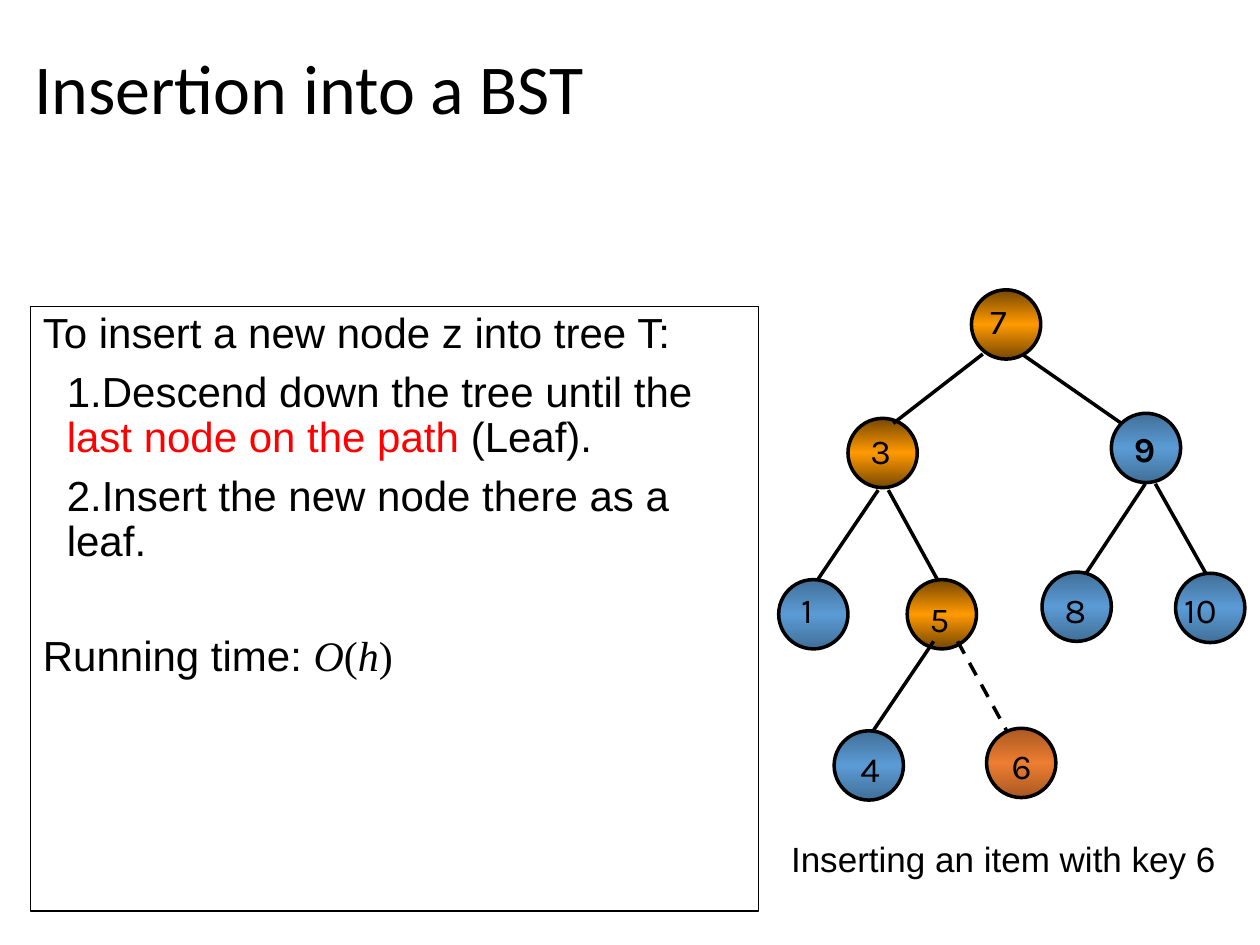
from copy import deepcopy

from lxml.etree import SubElement
from pptx import Presentation
from pptx.dml.color import RGBColor
from pptx.enum.dml import MSO_LINE
from pptx.enum.shapes import MSO_CONNECTOR, MSO_SHAPE
from pptx.enum.text import MSO_ANCHOR, MSO_AUTO_SIZE, PP_ALIGN
from pptx.oxml.ns import qn
from pptx.util import Inches, Pt

COLORS = {"black": "000000", "red": "FF0000"}
# Edge and middle colour of each node gradient
GRADIENTS = {
    "path": ("764700", "FF9900"),
    "plain": ("416F98", "5B9BD5"),
    "new": ("AA5923", "ED7D31"),
}
NODE_SIZE = 0.55

# Key, node left and top, label left and top, label width, gradient
NODES = [
    ("7", 7.71, 2.30, 7.76, 2.33, 0.40, "path"),
    ("3", 6.73, 3.32, 6.81, 3.36, 0.38, "path"),
    ("9", 8.82, 3.28, 8.90, 3.34, 0.38, "plain"),
    ("1", 6.18, 4.60, 6.26, 4.62, 0.38, "plain"),
    ("5", 7.20, 4.60, 7.28, 4.69, 0.40, "path"),
    ("8", 8.27, 4.54, 8.35, 4.62, 0.38, "plain"),
    ("10", 9.33, 4.55, 9.30, 4.62, 0.51, "plain"),
    ("4", 6.62, 5.80, 6.73, 5.88, 0.38, "plain"),
    ("6", 7.83, 5.78, 7.93, 5.86, 0.51, "new"),
]

# Start x, y and end x, y, from parent to child
EDGES = [
    (7.80, 2.81, 7.09, 3.36),
    (8.11, 2.81, 8.90, 3.36),
    (6.97, 3.89, 6.49, 4.60),
    (7.05, 3.89, 7.44, 4.60),
    (9.09, 3.84, 8.62, 4.55),
    (9.17, 3.84, 9.57, 4.55),
    (7.41, 5.09, 6.93, 5.80),
]
NEW_EDGE = (7.60, 5.09, 7.99, 5.80)


def color(name):
    return RGBColor.from_string(COLORS[name])


def place(shape, left, top, width, height):
    shape.left, shape.top = Inches(left), Inches(top)
    shape.width, shape.height = Inches(width), Inches(height)


def add_text(paragraph, text, size=24, font="Arial", fill="black",
             bold=False, italic=False):
    run = paragraph.add_run()
    run.text = text
    run.font.size = Pt(size)
    run.font.name = font
    run.font.bold = bold
    run.font.italic = italic
    run.font.color.rgb = color(fill)


def add_label(slide, text, left, top, width, **text_format):
    shape = slide.shapes.add_textbox(
        Inches(left), Inches(top), Inches(width), Inches(0.43))
    shape.text_frame.word_wrap = True
    add_text(shape.text_frame.paragraphs[0], text, size=20, **text_format)


def fill_title(title):
    place(title, 0.17, 0.09, 9.57, 1.27)
    frame = title.text_frame
    frame.auto_size = MSO_AUTO_SIZE.NONE
    frame.vertical_anchor = MSO_ANCHOR.MIDDLE
    paragraph = frame.paragraphs[0]
    paragraph.alignment = PP_ALIGN.LEFT
    paragraph.line_spacing = 0.9
    add_text(paragraph, "Insertion into a BST", size=40, font="Calibri")


def format_body_paragraph(paragraph, indent=0, space_before=7.5):
    paragraph.line_spacing = 0.9
    paragraph.space_before = Pt(space_before)
    properties = paragraph._p.get_or_add_pPr()
    properties.set("marL", str(Inches(indent)))
    properties.set("indent", "0")
    SubElement(properties, qn("a:buNone"))


def fill_body(body):
    place(body, 0.24, 2.43, 5.78, 4.8)
    body.line.color.rgb = color("black")
    body.line.width = Pt(0.75)
    frame = body.text_frame
    frame.auto_size = MSO_AUTO_SIZE.NONE

    # Introduction and the two steps
    intro = frame.paragraphs[0]
    format_body_paragraph(intro)
    add_text(intro, "To insert a new node z into tree T:")
    descend = frame.add_paragraph()
    format_body_paragraph(descend, indent=0.19)
    add_text(descend, "1.Descend down the tree until the ")
    add_text(descend, "last node on the path ", fill="red")
    add_text(descend, "(Leaf).")
    insert = frame.add_paragraph()
    format_body_paragraph(insert, indent=0.19)
    add_text(insert, "2.Insert the new node there as a leaf.")

    # Running time
    running_time = frame.add_paragraph()
    format_body_paragraph(running_time, space_before=40)
    add_text(running_time, "Running time: ")
    for symbol in "O(h)":
        add_text(running_time, symbol, font="Times New Roman",
                 italic=symbol.isalpha())


def fill_gradient(shape, edge, middle):
    fill = shape.fill
    fill.gradient()
    fill.gradient_angle = 90
    first = fill.gradient_stops[0]._gs
    first.addnext(deepcopy(first))
    stops = zip(fill.gradient_stops, (0, 0.5, 1), (edge, middle, edge))
    for stop, position, hex_color in stops:
        stop.position = position
        stop.color.rgb = RGBColor.from_string(hex_color)


def add_node(slide, key, left, top, label_left, label_top, label_width, kind):
    node = slide.shapes.add_shape(
        MSO_SHAPE.OVAL, Inches(left), Inches(top),
        Inches(NODE_SIZE), Inches(NODE_SIZE))
    node.shadow.inherit = False
    fill_gradient(node, *GRADIENTS[kind])
    node.line.color.rgb = color("black")
    node.line.width = Pt(2)
    add_label(slide, key, label_left, label_top, label_width,
              font="Karla", bold=key == "9")


def add_edge(slide, ends, dashed=False):
    edge = slide.shapes.add_connector(
        MSO_CONNECTOR.STRAIGHT, *(Inches(value) for value in ends))
    edge.line.color.rgb = color("black")
    edge.line.width = Pt(2)
    if dashed:
        edge.line.dash_style = MSO_LINE.DASH
    SubElement(edge._element.spPr, qn("a:effectLst"))


def main():
    presentation = Presentation()
    presentation.slide_width = Inches(10)
    presentation.slide_height = Inches(7.5)
    slide = presentation.slides.add_slide(presentation.slide_layouts[1])

    # Title and explanation
    fill_title(slide.shapes.title)
    fill_body(slide.placeholders[1])

    # Tree
    for node in NODES:
        add_node(slide, *node)
    for edge in EDGES:
        add_edge(slide, edge)
    add_edge(slide, NEW_EDGE, dashed=True)

    # Caption
    add_label(slide, "Inserting an item with key 6", 6.18, 6.6, 3.82)

    presentation.save("out.pptx")


if __name__ == "__main__":
    main()
